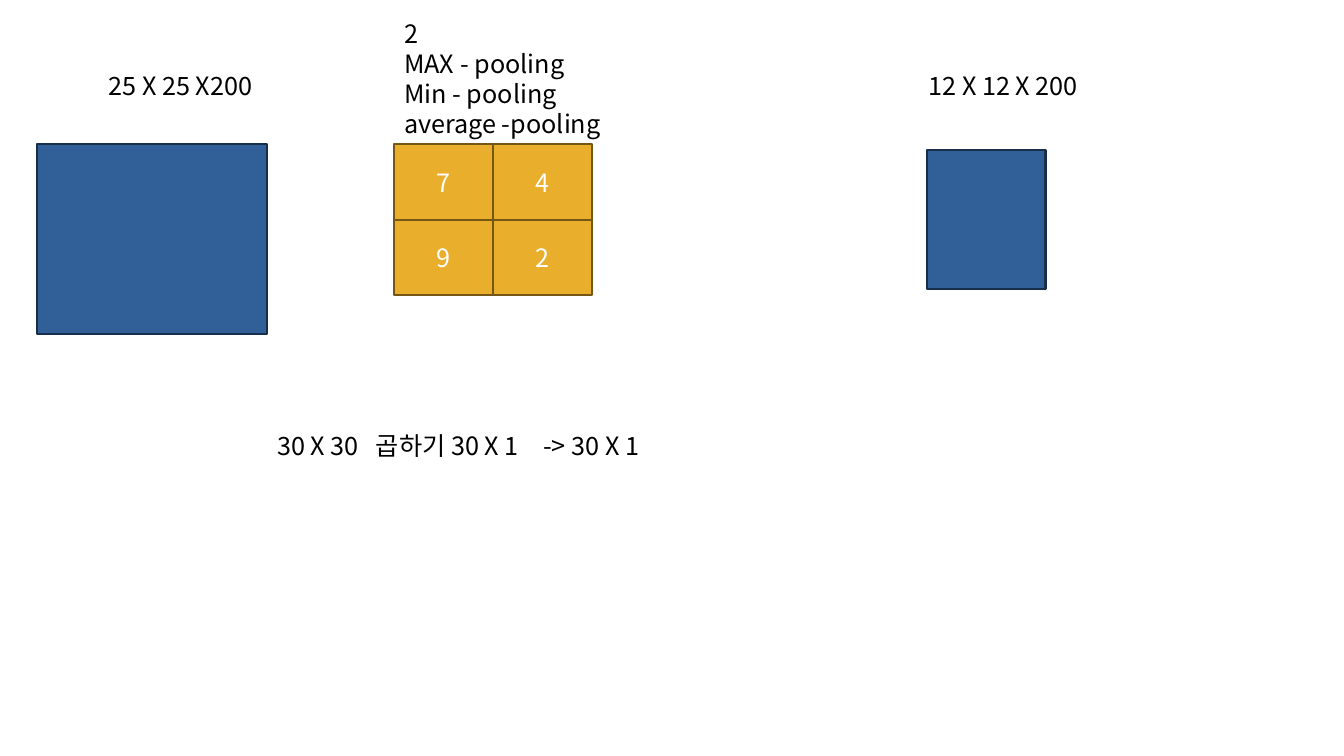
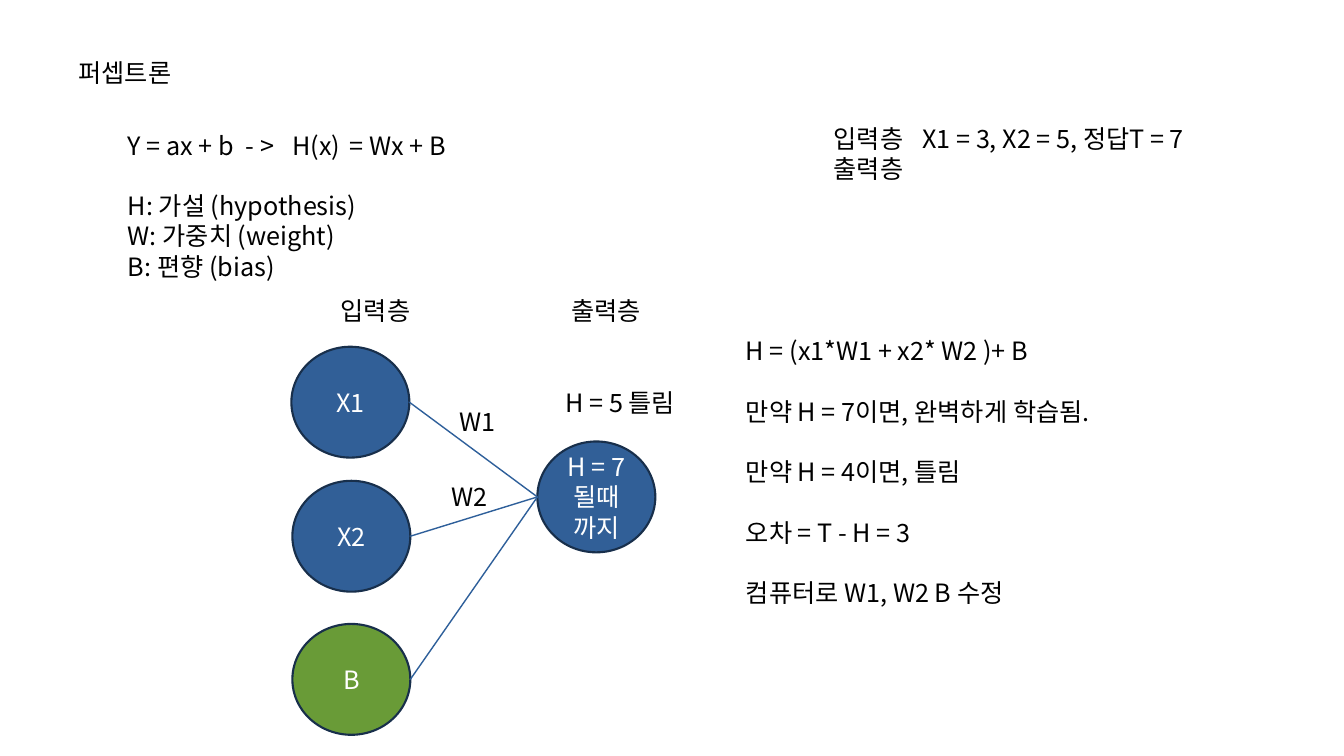
from dataclasses import dataclass

from lxml.etree import SubElement
from pptx import Presentation
from pptx.dml.color import RGBColor
from pptx.enum.shapes import MSO_CONNECTOR, MSO_SHAPE
from pptx.enum.text import MSO_ANCHOR, PP_ALIGN
from pptx.oxml.ns import qn
from pptx.shapes.autoshape import Shape
from pptx.slide import Slide
from pptx.util import Emu, Pt

# Shared style; 100 px to the inch
EMU_PER_PX = 9144
FONT = "Noto Sans CJK KR"
FONT_SIZE = Pt(18)
LINE_GAP = Pt(21.6)
BLUE = RGBColor(0x31, 0x5F, 0x97)
NAVY = RGBColor(0x18, 0x2F, 0x4B)
LINK_BLUE = RGBColor(0x2E, 0x5F, 0x9A)
AMBER = RGBColor(0xE9, 0xAE, 0x2B)
BROWN = RGBColor(0x74, 0x56, 0x15)
GREEN = RGBColor(0x69, 0x9B, 0x37)
WHITE = RGBColor(0xFF, 0xFF, 0xFF)
BLACK = RGBColor(0x00, 0x00, 0x00)

# Connection sites of an ellipse
ELLIPSE_LEFT, ELLIPSE_RIGHT = 2, 6


@dataclass(frozen=True)
class Label:
    left: int
    top: int
    width: int
    height: int
    lines: tuple[str, ...]
    tabs: tuple[int, ...] = ()
    spaced: tuple[int, ...] = ()  # lines with a gap above


@dataclass(frozen=True)
class Block:
    left: int
    top: int
    width: int
    height: int
    lines: tuple[str, ...] = ()
    kind: MSO_SHAPE = MSO_SHAPE.RECTANGLE
    fill: RGBColor = BLUE
    outline: RGBColor = NAVY


def px(length: int) -> Emu:
    return Emu(length * EMU_PER_PX)


def add_run(paragraph, text: str, color: RGBColor) -> None:
    run = paragraph.add_run()
    run.text = text
    run.font.size = FONT_SIZE
    run.font.color.rgb = color
    run.font.name = FONT
    SubElement(run.font._element, qn("a:ea"), typeface=FONT)


def add_tab_stops(paragraph, tabs: tuple[int, ...]) -> None:
    tab_list = SubElement(paragraph._p.get_or_add_pPr(), qn("a:tabLst"))
    for tab in tabs:
        SubElement(tab_list, qn("a:tab"), pos=str(px(tab)), algn="l")


def write_lines(shape: Shape, lines: tuple[str, ...], color: RGBColor) -> list:
    frame = shape.text_frame
    frame.word_wrap = True
    for index, line in enumerate(lines):
        paragraph = frame.add_paragraph() if index else frame.paragraphs[0]
        add_run(paragraph, line, color)
    return list(frame.paragraphs)


def add_label(slide: Slide, label: Label) -> None:
    box = slide.shapes.add_textbox(
        px(label.left), px(label.top), px(label.width), px(label.height))
    for index, paragraph in enumerate(write_lines(box, label.lines, BLACK)):
        if index in label.spaced:
            paragraph.space_before = LINE_GAP
        if label.tabs and "\t" in label.lines[index]:
            add_tab_stops(paragraph, label.tabs)


def add_block(shapes, block: Block) -> Shape:
    shape = shapes.add_shape(
        block.kind, px(block.left), px(block.top), px(block.width), px(block.height))
    shape.shadow.inherit = False
    shape.fill.solid()
    shape.fill.fore_color.rgb = block.fill
    shape.line.color.rgb = block.outline
    shape.line.width = Pt(1.5)
    shape.text_frame.vertical_anchor = MSO_ANCHOR.MIDDLE
    for paragraph in write_lines(shape, block.lines, WHITE):
        paragraph.alignment = PP_ALIGN.CENTER
    return shape


def add_link(slide: Slide, source: Shape, target: Shape) -> None:
    """Join the right of one ellipse to the left of another."""
    connector = slide.shapes.add_connector(
        MSO_CONNECTOR.STRAIGHT,
        source.left + source.width, source.top + source.height // 2,
        target.left, target.top + target.height // 2)
    connector.line.color.rgb = LINK_BLUE
    connector.line.width = Pt(1)
    SubElement(connector._element.spPr, qn("a:effectLst"))
    joints = connector._element.find(".//" + qn("p:cNvCxnSpPr"))
    for tag, shape, site in (("a:stCxn", source, ELLIPSE_RIGHT),
                             ("a:endCxn", target, ELLIPSE_LEFT)):
        SubElement(joints, qn(tag), id=str(shape.shape_id), idx=str(site))


def neuron(left: int, top: int, *lines: str, fill: RGBColor = BLUE) -> Block:
    return Block(left, top, 117, 110, lines, MSO_SHAPE.OVAL, fill)


POOLING_LABELS = (
    Label(98, 65, 169, 40, ("25 X 25 X200",)),
    Label(265, 422, 400, 40, ("30 X 30\t곱하기 30 X 1\t-> 30 X 1",), tabs=(98, 264)),
    Label(391, 13, 237, 129,
          ("2", "MAX - pooling", "Min - pooling", "average -pooling")),
    Label(911, 65, 228, 40, ("12 X 12 X 200",)),
)

PERCEPTRON_LABELS = (
    Label(68, 52, 118, 39, ("퍼셉트론",)),
    Label(117, 124, 366, 160,
          ("Y = ax + b\t- >\tH(x)\t= Wx + B", "H: 가설 (hypothesis)",
           "W: 가중치 (weight)", "B: 편향 (bias)"),
          tabs=(117, 163, 220), spaced=(1,)),
    Label(328, 288, 339, 40, ("입력층\t출력층",), tabs=(229,)),
    Label(446, 398, 71, 40, ("W1",)),
    Label(438, 473, 71, 40, ("W2",)),
    Label(551, 379, 150, 40, ("H = 5 틀림",)),
    Label(817, 117, 456, 70,
          ("입력층\tX1 = 3, X2 = 5, 정답T = 7", "출력층"), tabs=(88,)),
    Label(730, 328, 420, 309,
          ("H = (x1*W1 + x2* W2 )+ B", "만약 H = 7이면, 완벽하게 학습됨.",
           "만약 H = 4이면, 틀림", "오차 = T - H = 3", "컴퓨터로 W1, W2 B 수정"),
          spaced=(1, 2, 3, 4)),
)


def build_pooling(slide: Slide) -> None:
    # Input and output maps
    add_block(slide.shapes, Block(37, 143, 228, 188))
    add_block(slide.shapes, Block(919, 149, 118, 138))

    # Pooling window
    window = slide.shapes.add_group_shape()
    cell_width, cell_height = 98, 75
    for row, values in enumerate((("7", "4"), ("9", "2"))):
        for column, value in enumerate(values):
            add_block(window.shapes, Block(
                391 + column * cell_width, 143 + row * cell_height,
                cell_width, cell_height, (value,), fill=AMBER, outline=BROWN))

    for label in POOLING_LABELS:
        add_label(slide, label)


def build_perceptron(slide: Slide) -> None:
    # Network
    output = add_block(slide.shapes, neuron(533, 438, "H = 7", "될때까지"))
    for block in (neuron(289, 344, "X1"), neuron(290, 477, "X2"),
                  neuron(290, 619, "B", fill=GREEN)):
        add_link(slide, add_block(slide.shapes, block), output)

    for label in PERCEPTRON_LABELS:
        add_label(slide, label)


def main() -> None:
    presentation = Presentation()
    presentation.slide_width = px(1333)
    presentation.slide_height = px(750)
    blank = presentation.slide_layouts[6]
    for build in (build_pooling, build_perceptron):
        build(presentation.slides.add_slide(blank))
    presentation.save("out.pptx")


if __name__ == "__main__":
    main()
